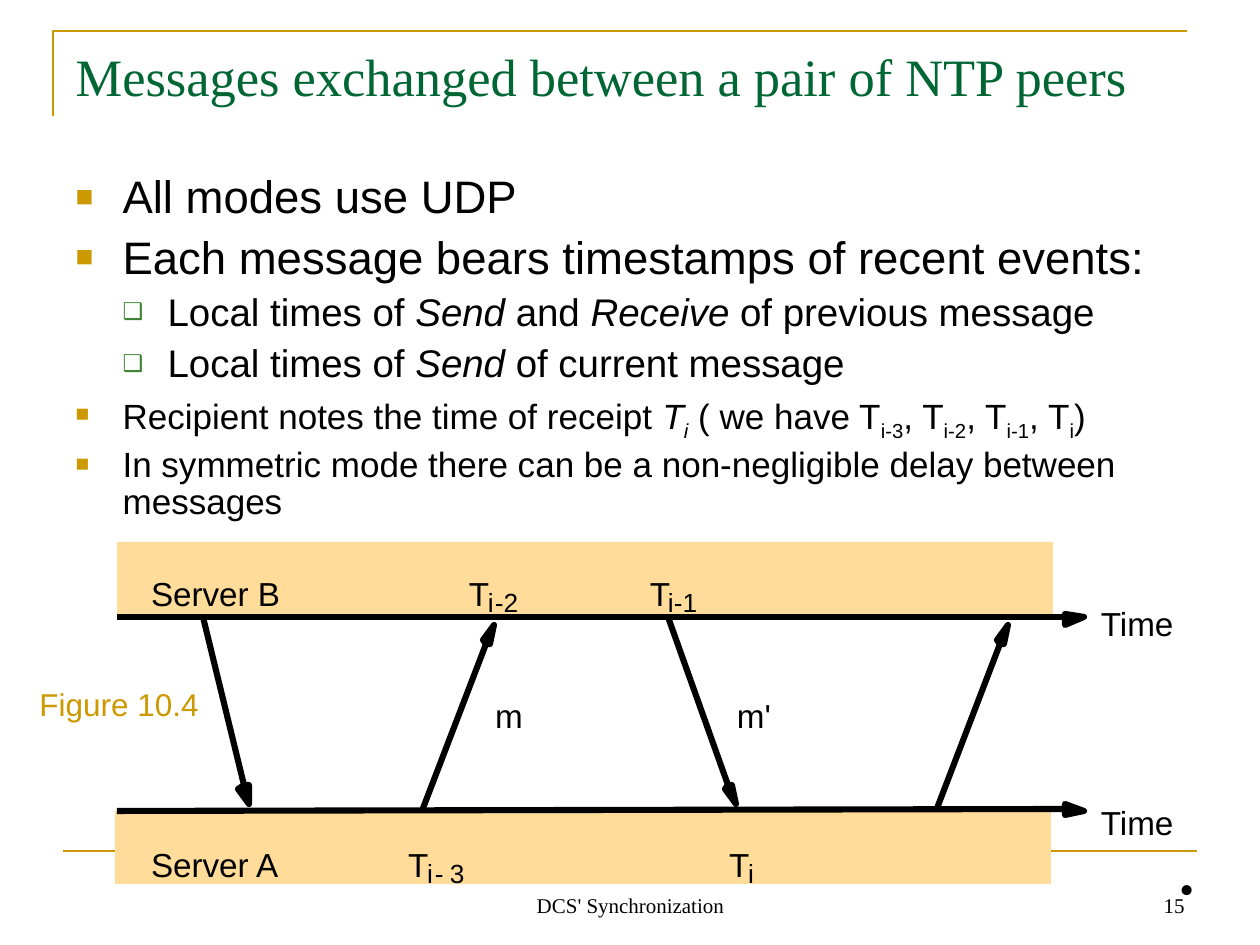
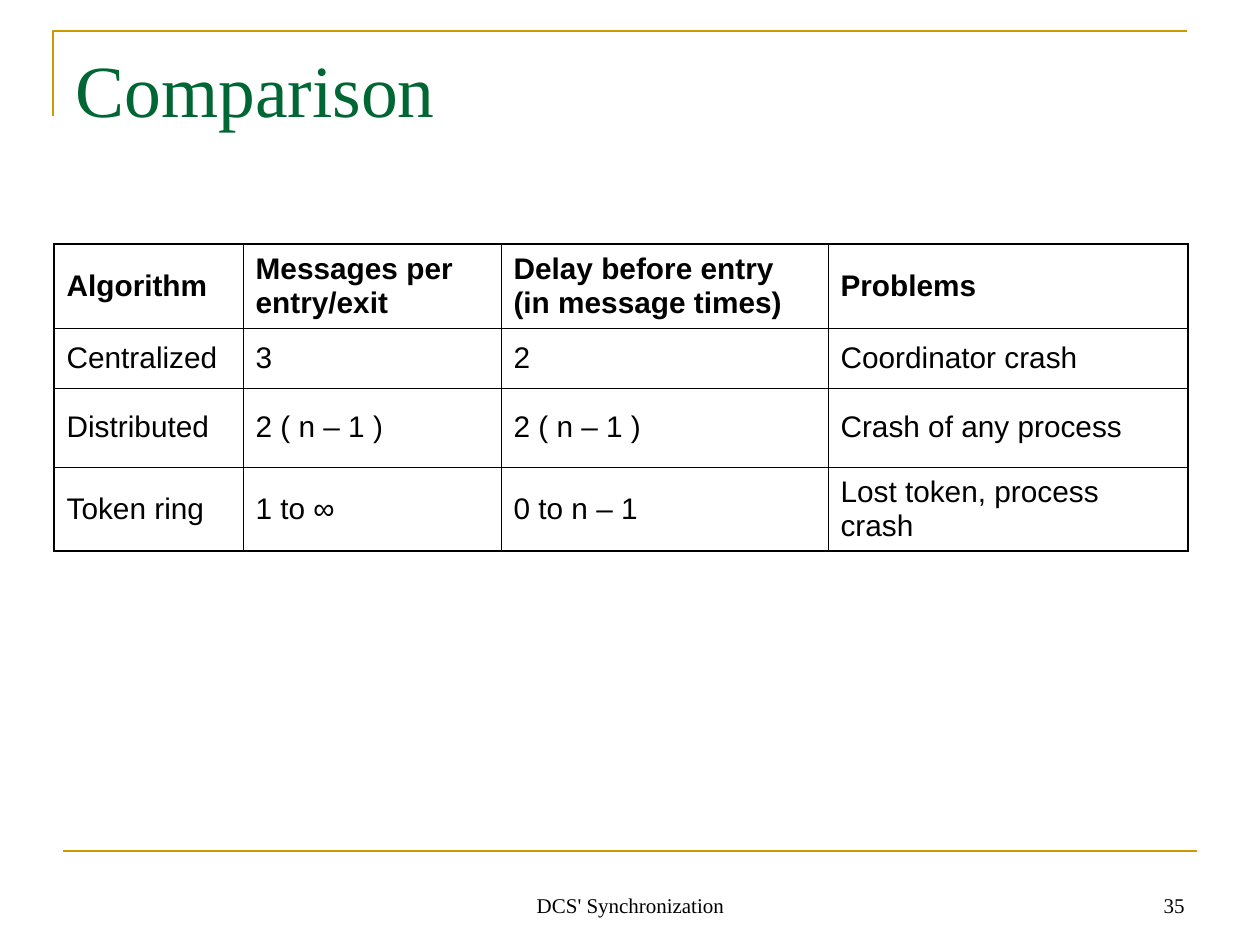
from dataclasses import dataclass
from typing import Any, NamedTuple

import pptx
import pptx.dml.color
import pptx.enum.shapes
import pptx.enum.text
import pptx.oxml
import pptx.oxml.ns
import pptx.util
from lxml import etree

RGB = pptx.dml.color.RGBColor
Pt = pptx.util.Pt
ALIGN = pptx.enum.text.PP_ALIGN
ANCHOR = pptx.enum.text.MSO_ANCHOR
AUTO = pptx.enum.text.MSO_AUTO_SIZE
qn = pptx.oxml.ns.qn

BLACK = RGB(0x00, 0x00, 0x00)
GOLD = RGB(0xCC, 0x99, 0x00)
GREEN = RGB(0x00, 0x66, 0x33)
LEAF = RGB(0x3B, 0x81, 0x2F)
SAND = RGB(0xFF, 0xDC, 0x99)
SANS, SERIF = "Arial", "Times New Roman"

EMU_PER_PX = 914400 / 126


def px(n: int) -> int:
    return round(n * EMU_PER_PX)


class Box(NamedTuple):
    x: int
    y: int
    w: int
    h: int

    def emu(self) -> list[int]:
        return [px(n) for n in self]


class Point(NamedTuple):
    x: int
    y: int

    def plus(self, dx: int, dy: int) -> "Point":
        return Point(self.x + dx, self.y + dy)


@dataclass
class Label:
    text: str
    box: Box
    size: int
    font: str = SANS
    color: RGB = BLACK
    align: Any = ALIGN.LEFT
    anchor: Any = ANCHOR.TOP
    wrap: bool = False
    inset: bool = True


@dataclass
class Arrow:
    start: Point
    end: Point
    tip: Point
    head: tuple  # outline as offsets from the tip


@dataclass
class Bullet:
    level: int
    size: int
    before: float
    runs: list  # (text, style) pairs; style holds "i" and/or "s" (subscript)


class Mark(NamedTuple):
    char: str
    color: RGB
    percent: int
    left: int
    hang: int


MARKS = [Mark("■", GOLD, 65, 47, 47), Mark("❑", LEAF, 60, 92, 45)]


# ---- Shared drawing functions ----
def apply(obj: Any, values: dict) -> None:
    for name, value in values.items():
        setattr(obj, name, value)


def add_run(p: Any, text: str, size: int, font: str = SANS,
            color: RGB = BLACK, **extra: Any) -> Any:
    r = p.add_run()
    r.text = text
    apply(r.font, {"size": Pt(size), "name": font, **extra})
    r.font.color.rgb = color
    return r


def add_label(slide: Any, label: Label) -> None:
    tf = slide.shapes.add_textbox(*label.box.emu()).text_frame
    apply(tf, {"word_wrap": label.wrap, "vertical_anchor": label.anchor,
               "auto_size": AUTO.NONE if label.wrap else AUTO.SHAPE_TO_FIT_TEXT})
    if not label.inset:
        apply(tf, dict.fromkeys(("margin_left", "margin_top", "margin_right", "margin_bottom"), 0))
    p = tf.paragraphs[0]
    p.alignment = label.align
    add_run(p, label.text, label.size, label.font, label.color)


def add_line(slide: Any, start: Point, end: Point, color: RGB, width: float) -> None:
    kind = pptx.enum.shapes.MSO_CONNECTOR.STRAIGHT
    sp = slide.shapes.add_connector(kind, *(px(n) for n in (*start, *end)))
    sp.line.color.rgb = color
    sp.line.width = Pt(width)
    etree.SubElement(sp._element.spPr, qn("a:effectLst"))


def add_outline(slide: Any, points: list[Point], color: RGB, width: float, filled: bool) -> None:
    first, *rest = [(px(x), px(y)) for x, y in points]
    builder = slide.shapes.build_freeform(*first, scale=1.0)
    builder.add_line_segments(rest, close=filled)
    sp = builder.convert_to_shape()
    sp.shadow.inherit = False
    if filled:
        sp.fill.solid()
        sp.fill.fore_color.rgb = color
    else:
        sp.fill.background()
    sp.line.color.rgb = color
    sp.line.width = Pt(width)


def add_arrow(slide: Any, arrow: Arrow) -> None:
    add_outline(slide, [arrow.tip.plus(*d) for d in arrow.head], BLACK, 3.5, True)
    add_line(slide, arrow.start, arrow.end, BLACK, 3.5)


def place(sp: Any, box: Box) -> Any:
    apply(sp, dict(zip(("left", "top", "width", "height"), box.emu())))
    tf = sp.text_frame
    apply(tf, {"vertical_anchor": ANCHOR.TOP, "auto_size": AUTO.NONE, "word_wrap": True})
    return tf


def new_slide(prs: Any, layout: int, title: str, size: int, height: int, number: int) -> Any:
    """Add a slide with the gold frame, title, footer and number."""
    slide = prs.slides.add_slide(prs.slide_layouts[layout])
    add_outline(slide, [Point(53, 116), Point(53, 31), Point(1187, 31)], GOLD, 1.5, False)
    add_line(slide, Point(63, 851), Point(1197, 851), GOLD, 1.5)
    footer = {"size": 12, "font": SERIF, "anchor": ANCHOR.BOTTOM, "wrap": True}
    add_label(slide, Label("DCS' Synchronization", Box(431, 861, 399, 63),
                           align=ALIGN.CENTER, **footer))
    add_label(slide, Label(str(number), Box(903, 861, 294, 63), align=ALIGN.RIGHT, **footer))
    p = place(slide.shapes.title, Box(63, 38, 1134, height)).paragraphs[0]
    p.alignment = ALIGN.LEFT
    add_run(p, title, size, SERIF, GREEN)
    return slide


def fill_bullets(tf: Any, bullets: list[Bullet]) -> None:
    for i, bullet in enumerate(bullets):
        p = tf.add_paragraph() if i else tf.paragraphs[0]
        mark = MARKS[bullet.level]
        pPr = p._p.get_or_add_pPr()
        pPr.set("marL", str(px(mark.left)))
        pPr.set("indent", str(-px(mark.hang)))
        color = etree.SubElement(pPr, qn("a:buClr"))
        etree.SubElement(color, qn("a:srgbClr"), val=str(mark.color))
        etree.SubElement(pPr, qn("a:buSzPct"), val=str(mark.percent * 1000))
        etree.SubElement(pPr, qn("a:buChar"), char=mark.char)
        apply(p, {"level": bullet.level, "line_spacing": 0.9,
                  "space_before": Pt(bullet.before if i else 0)})
        for text, style in bullet.runs:
            r = add_run(p, text, bullet.size, italic="i" in style)
            if "s" in style:
                r._r.get_or_add_rPr().set("baseline", "-25000")


# ---- Slide with the NTP message diagram ----
BULLETS = [
    Bullet(0, 26, 6.5, [("All modes use UDP", "")]),
    Bullet(0, 26, 6.5, [("Each message bears timestamps of recent events:", "")]),
    Bullet(1, 22, 5.5, [("Local times of ", ""), ("Send", "i"), (" and ", ""),
                        ("Receive", "i"), (" of previous message", "")]),
    Bullet(1, 22, 5.5, [("Local times of ", ""), ("Send", "i"), (" of current message", "")]),
    Bullet(0, 20, 5, [("Recipient notes the time of receipt ", ""), ("T", "i"), ("i", "is"),
                      (" ( we have T", ""), ("i-3", "s"), (", T", ""), ("i-2", "s"),
                      (", T", ""), ("i-1", "s"), (", T", ""), ("i", "s"), (")", "")]),
    Bullet(0, 20, 5, [("In symmetric mode there can be a non-negligible delay "
                       "between messages", "")]),
]

AXIS_B, AXIS_A = 617, 811
UP = ((-8, 19), (-11, 15), (0, 0), (-4, 19))
DOWN = tuple((dx, -dy) for dx, dy in UP)
MESSAGES = [
    Arrow(Point(936, AXIS_A), Point(1000, 644), Point(1008, 625), UP),
    Arrow(Point(668, AXIS_B), Point(728, 785), Point(736, 804), DOWN),
    Arrow(Point(422, AXIS_A), Point(486, 644), Point(494, 625), UP),
    Arrow(Point(203, AXIS_B), Point(244, 785), Point(249, 804),
          ((-5, -19), (0, -19), (0, 0), (-11, -15))),
]
BANDS = [Box(115, AXIS_A, 936, 73), Box(117, 542, 936, 72)]
TIME_AXES = [
    Arrow(Point(117, AXIS_B), Point(1065, AXIS_B), Point(1084, AXIS_B),
          ((-19, 0), (-19, -3), (0, 0), (-19, 8))),
    Arrow(Point(117, AXIS_A), Point(1067, 809), Point(1084, AXIS_A),
          ((-19, 0), (-19, -7), (0, 0), (-19, 4))),
]
ROW_B, ROW_A, ROW_M = 573, 844, 695
# text, x, y, width (a little wider than the text, so that it stays on one line)
NAMES = [
    ("Server B", 151, ROW_B, 134), ("Server A", 151, ROW_A, 134),
    ("Time", 1101, 603, 78), ("Time", 1101, 802, 78),
    ("m", 495, ROW_M, 30), ("m'", 737, ROW_M, 37),
    ("T", 729, ROW_A, 22), ("T", 650, ROW_B, 22), ("T", 469, ROW_B, 22), ("T", 408, ROW_A, 22),
]
SUBSCRIPTS = [
    ("i", 748, ROW_A, 8), ("i-1", 668, ROW_B, 34), ("i", 488, ROW_B, 8), ("-2", 495, ROW_B, 27),
    ("i", 427, ROW_A, 8), ("-", 435, ROW_A, 11), ("3", 450, ROW_A, 17),
]
SUB_DROP = 13


def build_messages(prs: Any) -> None:
    slide = new_slide(prs, 1, "Messages exchanged between a pair of NTP peers", 30, 97, 15)
    fill_bullets(place(slide.placeholders[1], Box(63, 168, 1126, 362)), BULLETS)
    for arrow in MESSAGES:
        add_arrow(slide, arrow)
    for band in BANDS:
        sp = slide.shapes.add_shape(pptx.enum.shapes.MSO_SHAPE.RECTANGLE, *band.emu())
        sp.shadow.inherit = False
        sp.fill.solid()
        sp.fill.fore_color.rgb = SAND
        sp.line.fill.background()
    for arrow in TIME_AXES:
        add_arrow(slide, arrow)
    for text, x, y, w in NAMES:
        add_label(slide, Label(text, Box(x, y, w, 40), 19, inset=False))
    for text, x, y, w in SUBSCRIPTS:
        add_label(slide, Label(text, Box(x, y + SUB_DROP, w, 32), 15, inset=False))
    add_label(slide, Label("Figure 10.4", Box(27, 679, 192, 50), 18, color=GOLD))
    add_label(slide, Label("•", Box(1167, 856, 41, 63), 24, SERIF))


# ---- Slide with the comparison table ----
ROWS = [
    ("Algorithm", "Messages per entry/exit", "Delay before entry (in message times)", "Problems"),
    ("Centralized", "3", "2", "Coordinator crash"),
    ("Distributed", "2 ( n – 1 )", "2 ( n – 1 )", "Crash of any process"),
    ("Token ring", "1 to ∞", "0 to n – 1", "Lost token, process crash"),
]
COL_WIDTHS = [189, 258, 327, 360]
ROW_HEIGHTS = [84, 60, 79, 84]
OUTER, INNER = 1.08, 0.45


def set_borders(cell: Any, outer: dict[str, bool]) -> None:
    tcPr = cell._tc.get_or_add_tcPr()
    for side, is_outer in outer.items():
        ln = etree.SubElement(tcPr, qn(f"a:ln{side}"), w=str(Pt(OUTER if is_outer else INNER)))
        fill = etree.SubElement(ln, qn("a:solidFill"))
        etree.SubElement(fill, qn("a:srgbClr"), val=str(BLACK))


def build_comparison(prs: Any) -> None:
    slide = new_slide(prs, 5, "Comparison", 42, 158, 35)
    box = Box(54, 244, sum(COL_WIDTHS), sum(ROW_HEIGHTS))
    table = slide.shapes.add_table(len(ROWS), len(COL_WIDTHS), *box.emu()).table
    apply(table, {"first_row": False, "horz_banding": False})
    for column, width in zip(table.columns, COL_WIDTHS):
        column.width = px(width)
    for row, height in zip(table.rows, ROW_HEIGHTS):
        row.height = px(height)
    for i, texts in enumerate(ROWS):
        for j, text in enumerate(texts):
            cell = table.cell(i, j)
            set_borders(cell, {"L": j == 0, "R": j == len(texts) - 1,
                               "T": i == 0, "B": i == len(ROWS) - 1})
            cell.fill.background()
            cell.vertical_anchor = ANCHOR.MIDDLE
            add_run(cell.text_frame.paragraphs[0], text, 17, bold=i == 0)


def main() -> None:
    prs = pptx.Presentation()
    apply(prs, {"slide_width": px(1260), "slide_height": px(945)})
    build_messages(prs)
    build_comparison(prs)
    prs.save("out.pptx")


if __name__ == "__main__":
    main()
